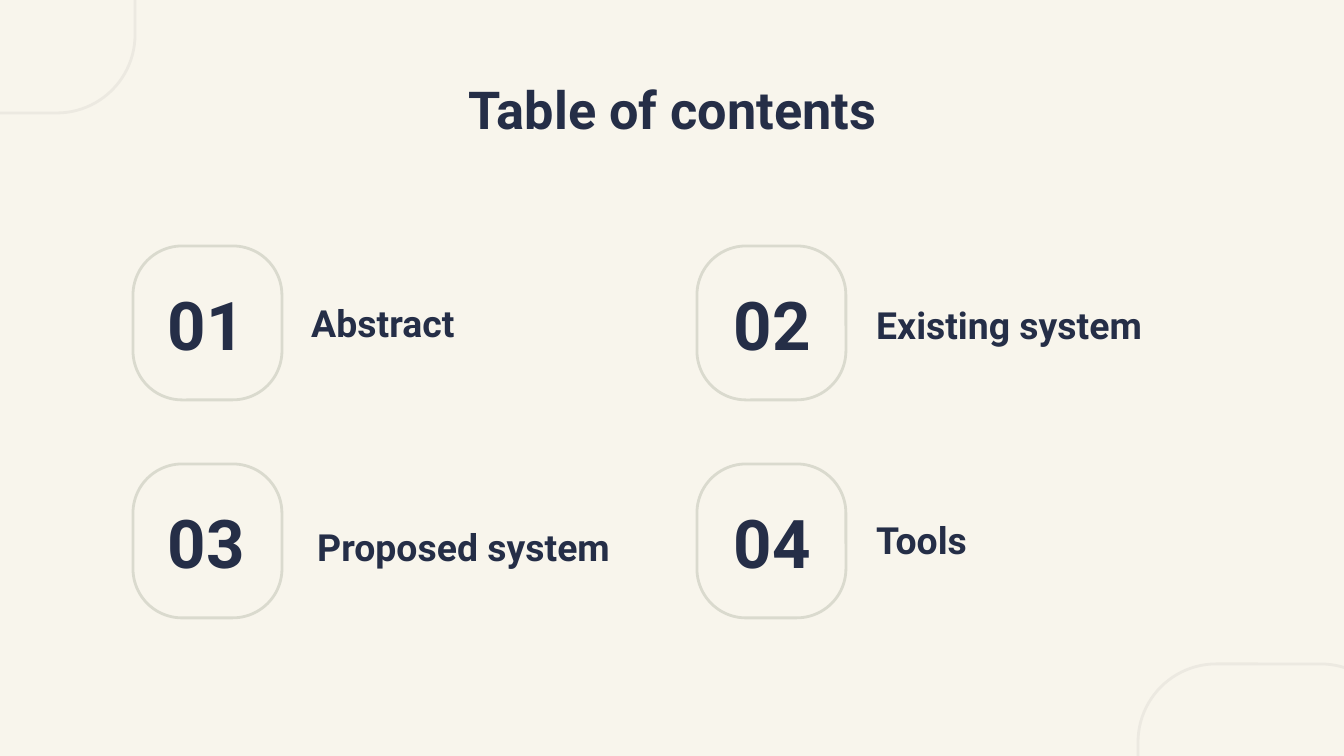
from dataclasses import dataclass

from pptx import Presentation
from pptx.dml.color import RGBColor
from pptx.enum.shapes import MSO_SHAPE
from pptx.enum.text import MSO_ANCHOR, PP_ALIGN
from pptx.slide import Slide
from pptx.util import Inches, Pt

EMU_PER_PX = 914400 / 134.4
FONT = "Roboto"
COLORS = {
    "background": "F8F5EC",
    "corner": "ECE9E1",
    "frame": "DADACE",
    "text": "252E47",
}


@dataclass(frozen=True)
class Box:
    left: int
    top: int
    width: int
    height: int


@dataclass(frozen=True)
class Entry:
    number: str
    label: str
    label_left: int
    label_top: int


def px(length: int) -> int:
    return round(length * EMU_PER_PX)


def color(name: str) -> RGBColor:
    return RGBColor.from_string(COLORS[name])


def add_frame(slide: Slide, box: Box, line: str, rounding: float) -> None:
    shape = slide.shapes.add_shape(
        MSO_SHAPE.ROUNDED_RECTANGLE,
        px(box.left), px(box.top), px(box.width), px(box.height),
    )
    shape.adjustments[0] = rounding
    shape.shadow.inherit = False
    shape.fill.background()
    shape.line.color.rgb = color(line)
    shape.line.width = Pt(1.5)


def add_text(slide: Slide, box: Box, text: str, size: int, alignment: PP_ALIGN) -> None:
    text_box = slide.shapes.add_textbox(
        px(box.left), px(box.top), px(box.width), px(box.height)
    )
    frame = text_box.text_frame
    frame.word_wrap = True
    frame.vertical_anchor = MSO_ANCHOR.MIDDLE
    frame.margin_left = frame.margin_right = Inches(0.1)
    frame.margin_top = frame.margin_bottom = Inches(0.1)
    paragraph = frame.paragraphs[0]
    paragraph.alignment = alignment
    run = paragraph.add_run()
    run.text = text
    run.font.name = FONT
    run.font.size = Pt(size)
    run.font.bold = True
    run.font.color.rgb = color("text")


CORNERS = [Box(-126, -199, 261, 312), Box(1138, 664, 261, 311)]
ENTRIES = [
    Entry("01", "Abstract", 298, 284),
    Entry("02", "Existing system", 863, 286),
    Entry("03", "Proposed system", 304, 508),
    Entry("04", "Tools", 863, 501),
]
FRAME_LEFTS = [133, 697]
NUMBER_LEFTS = [129, 695]
FIRST_ROW_TOP = 246
ROW_STEP = 218


def main() -> None:
    presentation = Presentation()
    presentation.slide_width = px(1344)
    presentation.slide_height = px(756)
    slide = presentation.slides.add_slide(presentation.slide_layouts[6])
    slide.background.fill.solid()
    slide.background.fill.fore_color.rgb = color("background")

    # Corner outlines
    for corner in CORNERS:
        add_frame(slide, corner, "corner", 0.3)

    # Heading
    add_text(slide, Box(106, 66, 1133, 85), "Table of contents", 28, PP_ALIGN.CENTER)

    # Numbered entries, two per row
    for index, entry in enumerate(ENTRIES):
        row, column = divmod(index, 2)
        top = FIRST_ROW_TOP + row * ROW_STEP
        add_frame(slide, Box(FRAME_LEFTS[column], top, 149, 154), "frame", 0.33)
        number_box = Box(NUMBER_LEFTS[column], top, 155, 155)
        add_text(slide, number_box, entry.number, 36, PP_ALIGN.CENTER)
        label_box = Box(entry.label_left, entry.label_top, 339, 78)
        add_text(slide, label_box, entry.label, 20, PP_ALIGN.LEFT)

    presentation.save("out.pptx")


if __name__ == "__main__":
    main()
